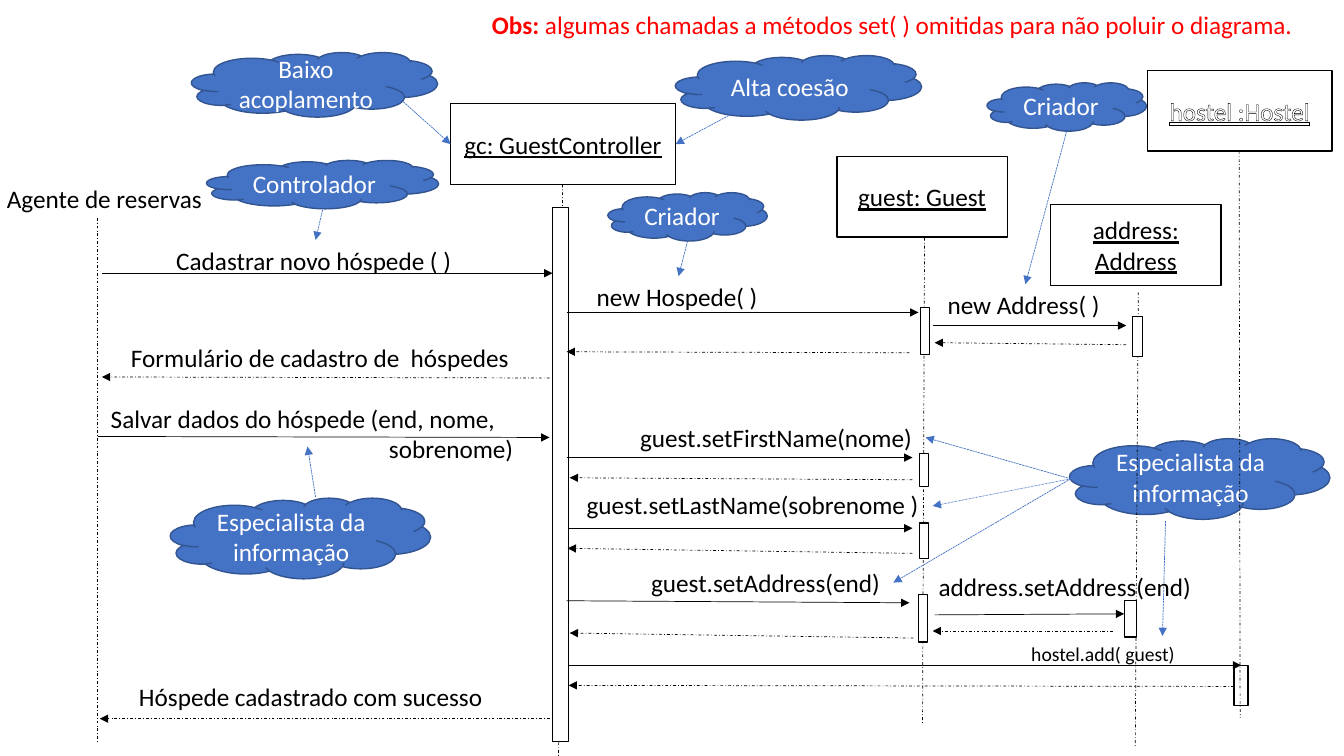
from lxml import etree
from pptx import Presentation
from pptx import util as u
from pptx.dml.color import RGBColor
from pptx.enum import dml, shapes, text
from pptx.oxml.ns import qn

BLACK, WHITE, BLUE, NAVY, RED = "000000", "FFFFFF", "4472C4", "325491", "FF0000"
DASH_DOT = dml.MSO_LINE.DASH_DOT
SYS_DASH = dml.MSO_LINE.SQUARE_DOT
SYS_DOT = dml.MSO_LINE.ROUND_DOT


def rgb(value):
    return RGBColor.from_string(value)


def cm(inches):
    """Turn a position on the inch grid into a length."""
    return u.Cm(inches * 2.54)


class SequenceDiagram:
    font, size = "Calibri", 18

    def __init__(self, slide):
        self.s = slide

    def run(self, p, words, color, size=None, bold=None):
        r = p.add_run()
        r.text = words
        f = r.font
        f.name, f.size, f.bold = self.font, u.Pt(size or self.size), bold
        f.color.rgb = rgb(color)
        return r

    def shape(self, kind, x, y, w, h, fill, line):
        sp = self.s.shapes.add_shape(kind, cm(x), cm(y), cm(w), cm(h))
        sp.shadow.inherit = False
        if fill:
            sp.fill.solid()
            sp.fill.fore_color.rgb = rgb(fill)
        else:
            sp.fill.background()
        sp.line.color.rgb = rgb(line)
        sp.line.width = u.Pt(1)
        return sp

    def centred(self, sp, words, color):
        tf = sp.text_frame
        tf.word_wrap = True
        tf.vertical_anchor = text.MSO_ANCHOR.MIDDLE
        p = tf.paragraphs[0]
        p.alignment = text.PP_ALIGN.CENTER
        return self.run(p, words, color)

    def participant(self, words, x, y, w, color=BLACK):
        """Header box with underlined, outlined text."""
        sp = self.shape(shapes.MSO_SHAPE.FLOWCHART_PROCESS, x, y, w, 0.8, None, BLACK)
        r = self.centred(sp, words, color)
        r.font.underline = True
        ln = etree.Element(qn("a:ln"), w=str(u.Pt(0.75)))
        fill = etree.SubElement(ln, qn("a:solidFill"))
        etree.SubElement(fill, qn("a:srgbClr"), val=BLACK)
        r.font._element.insert(0, ln)

    def cloud(self, words, x, y, w, h):
        sp = self.shape(shapes.MSO_SHAPE.CLOUD, x, y, w, h, BLUE, NAVY)
        self.centred(sp, words, WHITE)

    def activation(self, x, y, w, h, fill=WHITE):
        self.shape(shapes.MSO_SHAPE.RECTANGLE, x, y, w, h, fill, BLACK)

    def line(self, x1, y1, x2, y2, color=BLACK, dash=None, arrow=True):
        c = self.s.shapes.add_connector(
            shapes.MSO_CONNECTOR.STRAIGHT, cm(x1), cm(y1), cm(x2), cm(y2))
        c.line.color.rgb = rgb(color)
        c.line.width = u.Pt(0.5)
        if dash:
            c.line.dash_style = dash
        sp_pr = c._element.spPr
        if arrow:
            etree.SubElement(sp_pr.find(qn("a:ln")), qn("a:tailEnd"), type="triangle")
        etree.SubElement(sp_pr, qn("a:effectLst"))

    def label(self, paragraphs, x, y, w, h=0.4, size=None, wrap=False):
        """Text box; each paragraph is a list of (words, color, bold) runs."""
        tb = self.s.shapes.add_textbox(cm(x), cm(y), cm(w), cm(h))
        tf = tb.text_frame
        tf.word_wrap = wrap
        tf.auto_size = text.MSO_AUTO_SIZE.SHAPE_TO_FIT_TEXT
        for i, runs in enumerate(paragraphs):
            p = tf.add_paragraph() if i else tf.paragraphs[0]
            for words, color, bold in runs:
                self.run(p, words, color, size, bold)
        return tf


def main():
    prs = Presentation()
    prs.slide_width, prs.slide_height = cm(13.33), cm(7.5)
    d = SequenceDiagram(prs.slides.add_slide(prs.slide_layouts[6]))

    for cloud in (
        ("Criador", 6.03, 1.91, 1.58, 0.48),
        ("Controlador", 2.05, 1.59, 2.3, 0.48),
        ("Especialista da informação", 10.61, 4.35, 2.58, 0.8),
        ("Especialista da informação", 1.69, 4.94, 2.58, 0.8),
        ("Baixo acoplamento", 1.9, 0.52, 2.44, 0.64),
        ("Alta coesão", 6.7, 0.55, 2.44, 0.64),
        ("Criador", 9.79, 0.82, 1.58, 0.48),
    ):
        d.cloud(*cloud)

    d.participant("gc: GuestController", 4.47, 1.03, 2.23)
    d.participant("guest: Guest", 8.3, 1.55, 1.69)
    d.participant("hostel :Hostel", 11.38, 0.7, 1.83, WHITE)
    d.participant("address: Address", 10.42, 2.03, 1.69)

    for lifeline in (
        (0.97, 2.16, 0.97, 7.36),
        (5.58, 1.83, 5.54, 7.5),
        (9.17, 2.36, 9.15, 7.18),
        (11.29, 2.9, 11.26, 7.4),
        (12.29, 1.5, 12.3, 7.12),
    ):
        d.line(*lifeline, dash=DASH_DOT, arrow=False)

    for bar in (
        (5.48, 2.06, 0.16, 5.3),
        (9.13, 3.05, 0.09, 0.47),
        (9.12, 4.5, 0.09, 0.33),
        (9.12, 5.19, 0.09, 0.35),
        (9.11, 5.9, 0.09, 0.47),
        (11.23, 3.14, 0.1, 0.4),
        (11.15, 5.96, 0.12, 0.36),
        (12.24, 6.6, 0.14, 0.4, None),
    ):
        d.activation(*bar)

    for call in (
        (1.01, 2.71, 5.48, 2.71),
        (0.97, 4.33, 5.45, 4.34),
        (5.62, 3.1, 9.11, 3.1),
        (5.62, 4.54, 9.05, 4.54),
        (5.64, 5.24, 9.05, 5.24),
        (5.62, 5.96, 9.02, 5.98),
        (5.63, 6.6, 12.31, 6.6),
        (9.25, 3.23, 11.17, 3.23),
        (9.27, 6.1, 11.15, 6.09),
    ):
        d.line(*call)

    for reply in (
        (5.45, 3.75, 1.01, 3.74),
        (5.45, 7.13, 0.99, 7.13),
        (9.02, 3.5, 5.62, 3.49),
        (9.05, 4.76, 5.65, 4.74),
        (9.05, 5.49, 5.63, 5.44),
        (9.06, 6.33, 5.65, 6.28),
        (12.24, 6.81, 5.64, 6.8),
        (11.17, 3.42, 9.27, 3.4),
        (11.04, 6.26, 9.25, 6.26),
    ):
        d.line(*reply, dash=DASH_DOT)

    for pointer in (
        (6.82, 2.39, 6.73, 2.74),
        (3.2, 2.08, 3.13, 2.38),
        (10.62, 4.75, 9.18, 4.34),
        (10.62, 4.75, 8.86, 5.78),
        (3.13, 4.93, 3.05, 4.43),
        (4, 1.01, 4.47, 1.43),
        (7.35, 1.08, 6.7, 1.43),
        (11.56, 5.17, 11.53, 6.31),
        (10.58, 1.3, 10.17, 2.82),
    ):
        d.line(*pointer, color=BLUE, dash=SYS_DASH)
    d.line(10.62, 4.75, 9.25, 5.02, BLUE, SYS_DOT)

    for words, *place in (
        ("Agente de reservas", -0.03, 1.77, 2.16),
        ("Cadastrar novo hóspede ( )", 1.65, 2.38, 2.96),
        ("Formulário de cadastro de  hóspedes", 1.2, 3.35, 3.98),
        ("Hóspede cadastrado com sucesso", 1.28, 6.71, 3.65),
        ("new Hospede( )", 5.82, 2.74, 1.82),
        ("guest.setFirstName(nome)", 6.25, 4.14, 2.93),
        ("guest.setLastName(sobrenome )", 5.72, 4.81, 3.53),
        ("guest.setAddress(end)", 6.36, 5.58, 2.5),
        ("new Address( )", 9.3, 2.82, 1.73),
        ("address.setAddress(end)", 9.21, 5.62, 2.79),
        ("hostel.add( guest)", 10.13, 6.32, 1.64, 0.34, 14),
    ):
        d.label([[(words, BLACK, None)]], *place)

    save_call = d.label([[("Salvar dados do hóspede (end, nome,", BLACK, None)],
                         [("sobrenome)", BLACK, None)]], 1, 3.95, 4.3, 0.71, wrap=True)
    save_call.paragraphs[1]._p.get_or_add_pPr().set("marL", str(cm(2.76)))

    d.label([[("Obs: ", RED, True),
              ("algumas chamadas a métodos set( ) omitidas para não poluir o diagrama.",
               RED, False)]], 4.78, 0.04, 8.16)
    prs.save("out.pptx")


if __name__ == "__main__":
    main()
